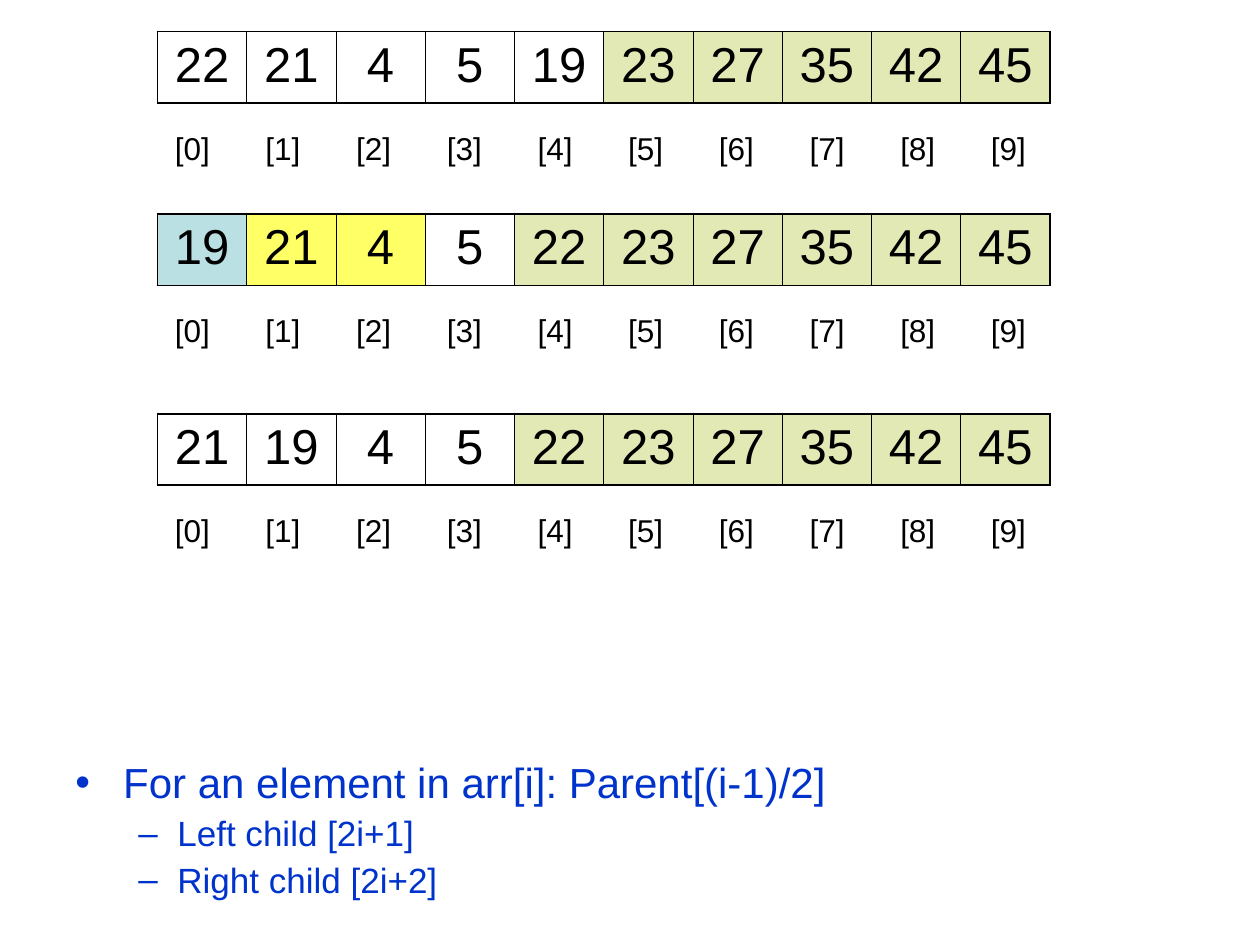
from dataclasses import dataclass

import pptx
import pptx.dml.color
import pptx.enum.text
import pptx.oxml
import pptx.oxml.ns
import pptx.util

COLS, ROWS = 120, 90
NO_STYLE = "{2D5ABB26-0587-4C30-8999-92F81FD0307C}"


@dataclass(frozen=True)
class Theme:
    font: str = "Arial"
    ink: str = "000000"
    accent: str = "0033CC"
    sorted_fill: str = "E2E9B5"
    root_fill: str = "BBE0E3"
    child_fill: str = "FFFF66"
    value_size: float = 28
    index_size: float = 18
    bullet_sizes: tuple = (24, 20)
    outer_line: float = 1.08
    inner_line: float = 0.45


def write(p, text, *, font, size, color, align=None, before=0, spacing=None):
    r = p.add_run()
    r.text = text
    r.font.name = font
    r.font.size = pptx.util.Pt(size)
    r.font.color.rgb = pptx.dml.color.RGBColor.from_string(color)
    p.alignment = align
    p.space_before = pptx.util.Pt(before)
    p.line_spacing = spacing


def add_xml(parent, index, tag, attrs, inner=""):
    ns = pptx.oxml.ns.nsdecls("a")
    xml = f"<a:{tag} {ns} {attrs}>{inner}</a:{tag}>"
    parent.insert(index, pptx.oxml.parse_xml(xml))


class SlideBuilder:
    def __init__(self, prs, theme):
        self.theme = theme
        self.col = prs.slide_width / COLS
        self.row = prs.slide_height / ROWS
        self.s = prs.slides.add_slide(prs.slide_layouts[6])

    def box(self, x, y, w, h):
        """Turn grid columns and rows into slide lengths."""
        return (round(x * self.col), round(y * self.row),
                round(w * self.col), round(h * self.row))

    def table_row(self, x, y, w, h, texts, size, before, anchor, fills=None, lined=False):
        """Add a one-row table; fills maps a column to its colour."""
        frame = self.s.shapes.add_table(1, len(texts), *self.box(x, y, w, h))
        table = frame.table
        table.first_row = table.horz_banding = False
        table._tbl.tblPr[0].text = NO_STYLE
        for i, text in enumerate(texts):
            table.columns[i].width = round(w * self.col / len(texts))
            cell = table.cell(0, i)
            cell.vertical_anchor = anchor
            write(cell.text_frame.paragraphs[0], text, font=self.theme.font,
                  size=size, color=self.theme.ink, before=before,
                  align=pptx.enum.text.PP_ALIGN.CENTER)
            if fills and i in fills:
                cell.fill.solid()
                cell.fill.fore_color.rgb = pptx.dml.color.RGBColor.from_string(fills[i])
            else:
                cell.fill.background()
            if lined:
                self.cell_borders(cell, first=i == 0, last=i == len(texts) - 1)

    def cell_borders(self, cell, first, last):
        outer = {"lnL": first, "lnR": last, "lnT": True, "lnB": True}
        line = f'<a:solidFill><a:srgbClr val="{self.theme.ink}"/></a:solidFill>'
        for i, (tag, is_outer) in enumerate(outer.items()):
            width = self.theme.outer_line if is_outer else self.theme.inner_line
            add_xml(cell._tc.get_or_add_tcPr(), i, tag,
                    f'w="{pptx.util.Pt(width)}"', line)

    def heap_array(self, y, values, sorted_from, marks=None):
        """Add an array of values with its index labels below."""
        fills = {i: self.theme.sorted_fill for i in range(sorted_from, len(values))}
        fills.update(marks or {})
        anchors = pptx.enum.text.MSO_ANCHOR
        self.table_row(15, y, 85, 6.8, [str(v) for v in values],
                       self.theme.value_size, 7, anchors.TOP, fills, lined=True)
        self.table_row(14, y + 8.8, 86.4, 4.8, [f"[{i}]" for i in range(len(values))],
                       self.theme.index_size, 4.5, anchors.MIDDLE)

    def bullets(self, x, y, w, h, items):
        tf = self.s.shapes.add_textbox(*self.box(x, y, w, h)).text_frame
        tf.word_wrap = True
        # Per level: bullet, left margin, hanging indent, space before
        levels = (("•", 0.38, 0.38, 6), ("–", 0.81, 0.31, 5))
        for i, (level, text) in enumerate(items):
            p = tf.add_paragraph() if i else tf.paragraphs[0]
            char, margin, hang, before = levels[level]
            p.level = level
            write(p, text, font=self.theme.font, size=self.theme.bullet_sizes[level],
                  color=self.theme.accent, before=before, spacing=0.9,
                  align=pptx.enum.text.PP_ALIGN.LEFT)
            pPr = p._p.get_or_add_pPr()
            pPr.set("marL", str(pptx.util.Inches(margin)))
            pPr.set("indent", str(-pptx.util.Inches(hang)))
            add_xml(pPr, len(pPr), "buClr", "", f'<a:srgbClr val="{self.theme.accent}"/>')
            add_xml(pPr, len(pPr), "buFont", f'typeface="{self.theme.font}"')
            add_xml(pPr, len(pPr), "buChar", f'char="{char}"')


def main():
    prs = pptx.Presentation()
    prs.slide_width = pptx.util.Inches(10)
    prs.slide_height = pptx.util.Inches(7.5)
    theme = Theme()
    slide = SlideBuilder(prs, theme)

    swapped = {0: theme.root_fill, 1: theme.child_fill, 2: theme.child_fill}
    slide.heap_array(3, [22, 21, 4, 5, 19, 23, 27, 35, 42, 45], sorted_from=5)
    slide.heap_array(20.4, [19, 21, 4, 5, 22, 23, 27, 35, 42, 45], sorted_from=4,
                     marks=swapped)
    slide.heap_array(39.4, [21, 19, 4, 5, 22, 23, 27, 35, 42, 45], sorted_from=4)
    slide.bullets(6, 72, 108, 15, [
        (0, "For an element in arr[i]: Parent[(i-1)/2]"),
        (1, "Left child [2i+1]"),
        (1, "Right child [2i+2]"),
    ])
    prs.save("out.pptx")


if __name__ == "__main__":
    main()
